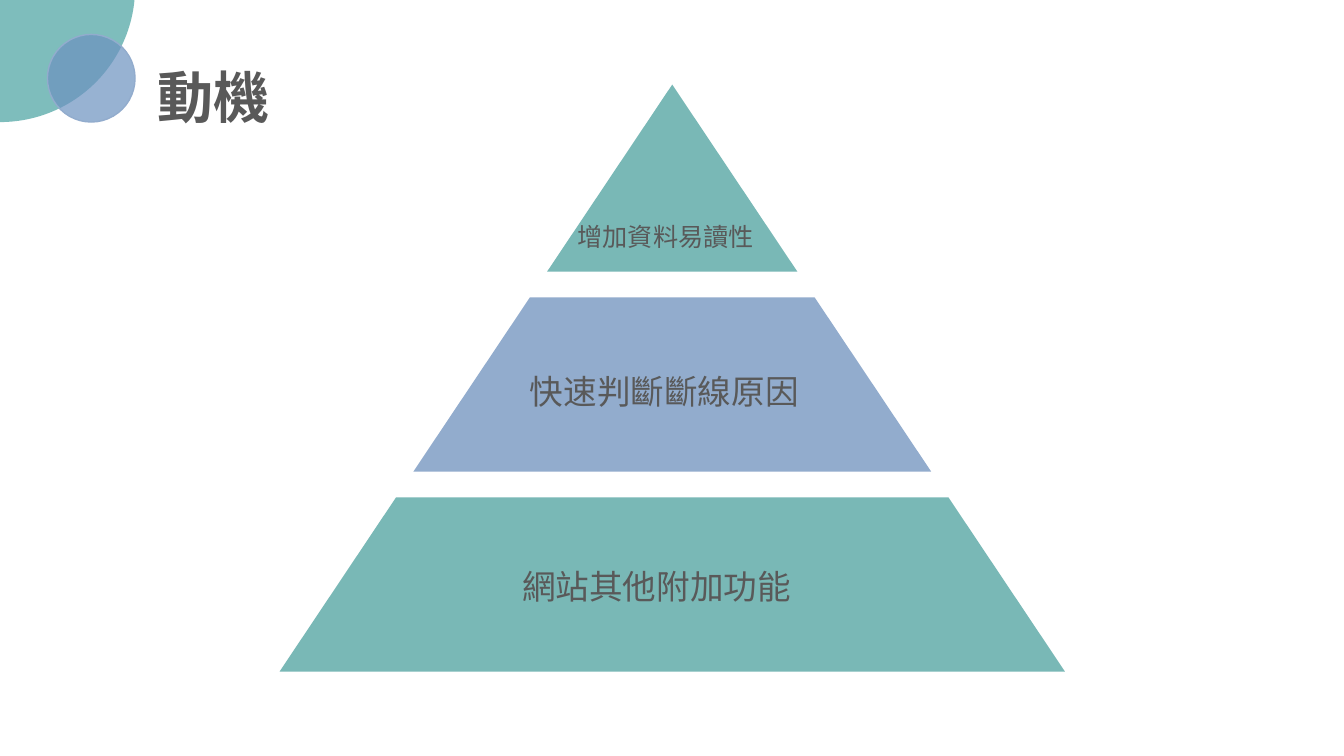
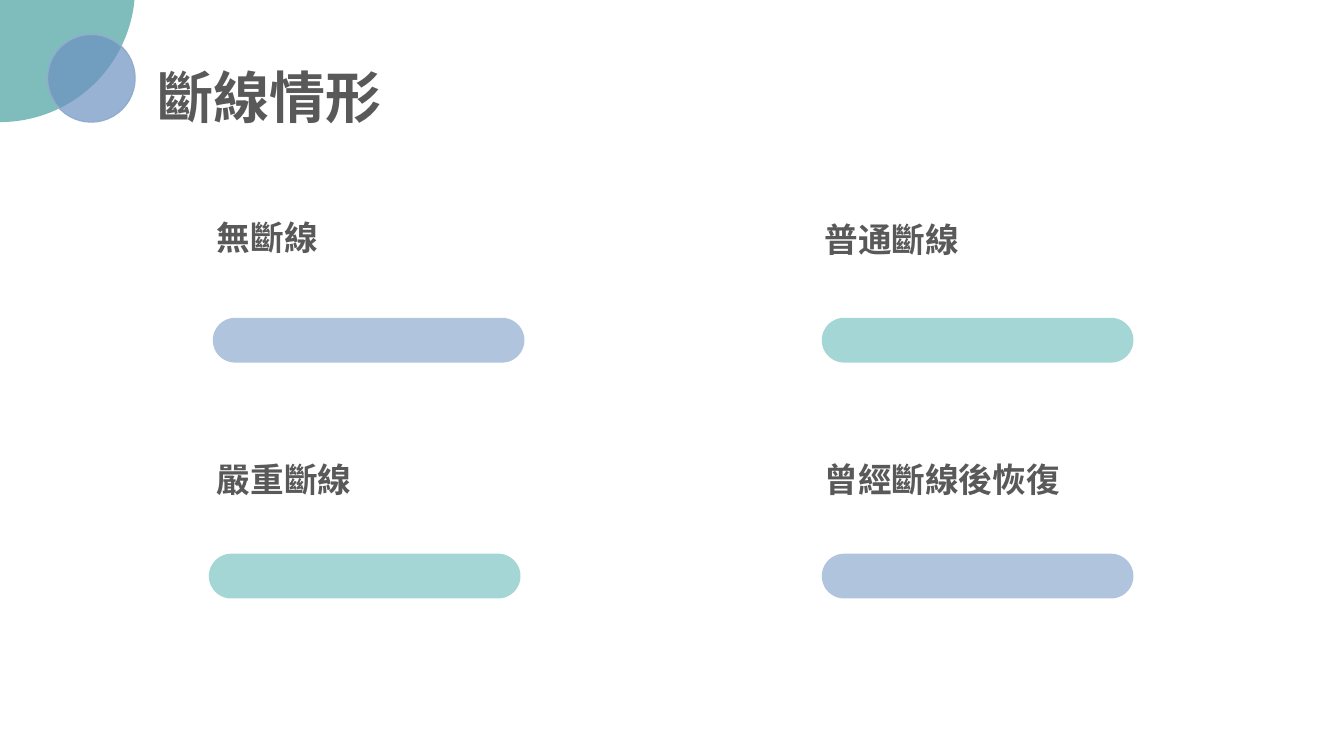
import pptx
import pptx.util
import pptx.dml.color
import pptx.enum.shapes
import pptx.enum.text
import pptx.oxml
import pptx.oxml.ns

Pt = pptx.util.Pt
RGBColor = pptx.dml.color.RGBColor
Shape = pptx.enum.shapes.MSO_SHAPE

TEAL = RGBColor(0x48, 0xA2, 0xA0)
BLUE = RGBColor(0x6C, 0x92, 0xC0)
MID_TEAL = RGBColor(0x79, 0xB8, 0xB6)
MID_BLUE = RGBColor(0x92, 0xAC, 0xCD)
PALE_TEAL = RGBColor(0xA4, 0xD6, 0xD5)
PALE_BLUE = RGBColor(0xB0, 0xC4, 0xDD)
GREY = RGBColor(0x59, 0x59, 0x59)
FONT = "Noto Sans CJK SC"
INSET = 7.2


class Slides:
    """Shared style and the slide being drawn."""

    def __init__(self):
        self.deck = pptx.Presentation()
        self.deck.slide_width, self.deck.slide_height = Pt(960), Pt(540)
        self.page = None

    def new_page(self):
        self.page = self.deck.slides.add_slide(self.deck.slide_layouts[6])

    def paint(self, shape, color, opacity=100, line=None):
        shape.shadow.inherit = False
        shape.fill.solid()
        shape.fill.fore_color.rgb = color
        if opacity < 100:
            tint = shape.fill._xPr.find(".//" + pptx.oxml.ns.qn("a:srgbClr"))
            alpha = pptx.oxml.parse_xml(
                f'<a:alpha {pptx.oxml.ns.nsdecls("a")} val="{opacity * 1000}"/>')
            tint.append(alpha)
        if line is None:
            shape.line.fill.background()
        else:
            shape.line.color.rgb = line
            shape.line.width = Pt(1)

    def circle(self, left, top, size, color, line=None):
        shape = self.page.shapes.add_shape(
            Shape.OVAL, Pt(left), Pt(top), Pt(size), Pt(size))
        self.paint(shape, color, 70, line)

    def pill(self, left, top, color):
        shape = self.page.shapes.add_shape(
            Shape.ROUNDED_RECTANGLE, Pt(left), Pt(top), Pt(222.6), Pt(32))
        shape.adjustments[0] = 0.5
        self.paint(shape, color)

    def polygon(self, points, color):
        start, *rest = [(Pt(x), Pt(y)) for x, y in points]
        builder = self.page.shapes.build_freeform(*start)
        builder.add_line_segments(rest, close=True)
        self.paint(builder.convert_to_shape(), color)

    def text(self, left, top, words, size, bold=False, width=None):
        """Without a width, the box fits its full-width characters on one line."""
        fitted = len(words) * size + 2 * INSET
        box = self.page.shapes.add_textbox(
            Pt(left), Pt(top), Pt(width or fitted), Pt(size * 1.2 + INSET))
        frame = box.text_frame
        frame.word_wrap = width is not None
        frame.auto_size = pptx.enum.text.MSO_AUTO_SIZE.SHAPE_TO_FIT_TEXT
        frame.text = words
        font = frame.paragraphs[0].runs[0].font
        font.size, font.bold, font.name = Pt(size), bold, FONT
        font.color.rgb = GREY
        east_asian = pptx.oxml.parse_xml(
            f'<a:ea {pptx.oxml.ns.nsdecls("a")} typeface="{FONT}"/>')
        font._element.find(pptx.oxml.ns.qn("a:latin")).addnext(east_asian)

    def heading(self, words):
        self.circle(-96.5, -105.8, 193, TEAL)
        self.circle(33.9, 24.6, 62.6, BLUE, MID_BLUE)
        self.text(105.8, 41, words, 40, bold=True)


def motivation(slides):
    slides.new_page()
    slides.heading("動機")

    # Pyramid: every tier follows the same two sloping sides
    center, apex, slope = 480.2, 60.4, 0.669
    tiers = [(apex, 194, MID_TEAL), (212.4, 336.8, MID_BLUE), (355.3, 479.7, MID_TEAL)]
    for top, bottom, color in tiers:
        upper, lower = (top - apex) * slope, (bottom - apex) * slope
        corners = [(center - upper, top), (center + upper, top),
                   (center + lower, bottom), (center - lower, bottom)]
        slides.polygon(dict.fromkeys(corners), color)

    # Tier labels
    for left, top, width, size, words in [
            (405.4, 154.8, 149, 18, "增加資料易讀性"),
            (371.5, 261.4, 235.4, 24, "快速判斷斷線原因"),
            (365.8, 401, 228.2, 24, "網站其他附加功能")]:
        slides.text(left, top, words, size, width=width)


def disconnections(slides):
    slides.new_page()

    # Four cases, each a label above a bar
    for left, top, words, bar_left, bar_top, color in [
            (147.9, 151.6, "無斷線", 152, 227, PALE_BLUE),
            (581.8, 152.8, "普通斷線", 587, 227, PALE_TEAL),
            (147.9, 324.6, "嚴重斷線", 149.2, 395.5, PALE_TEAL),
            (581.8, 324.6, "曾經斷線後恢復", 587, 395.5, PALE_BLUE)]:
        slides.pill(bar_left, bar_top, color)
        slides.text(left, top, words, 24, bold=True)

    slides.heading("斷線情形")


def main():
    slides = Slides()
    motivation(slides)
    disconnections(slides)
    slides.deck.save("out.pptx")


if __name__ == "__main__":
    main()
